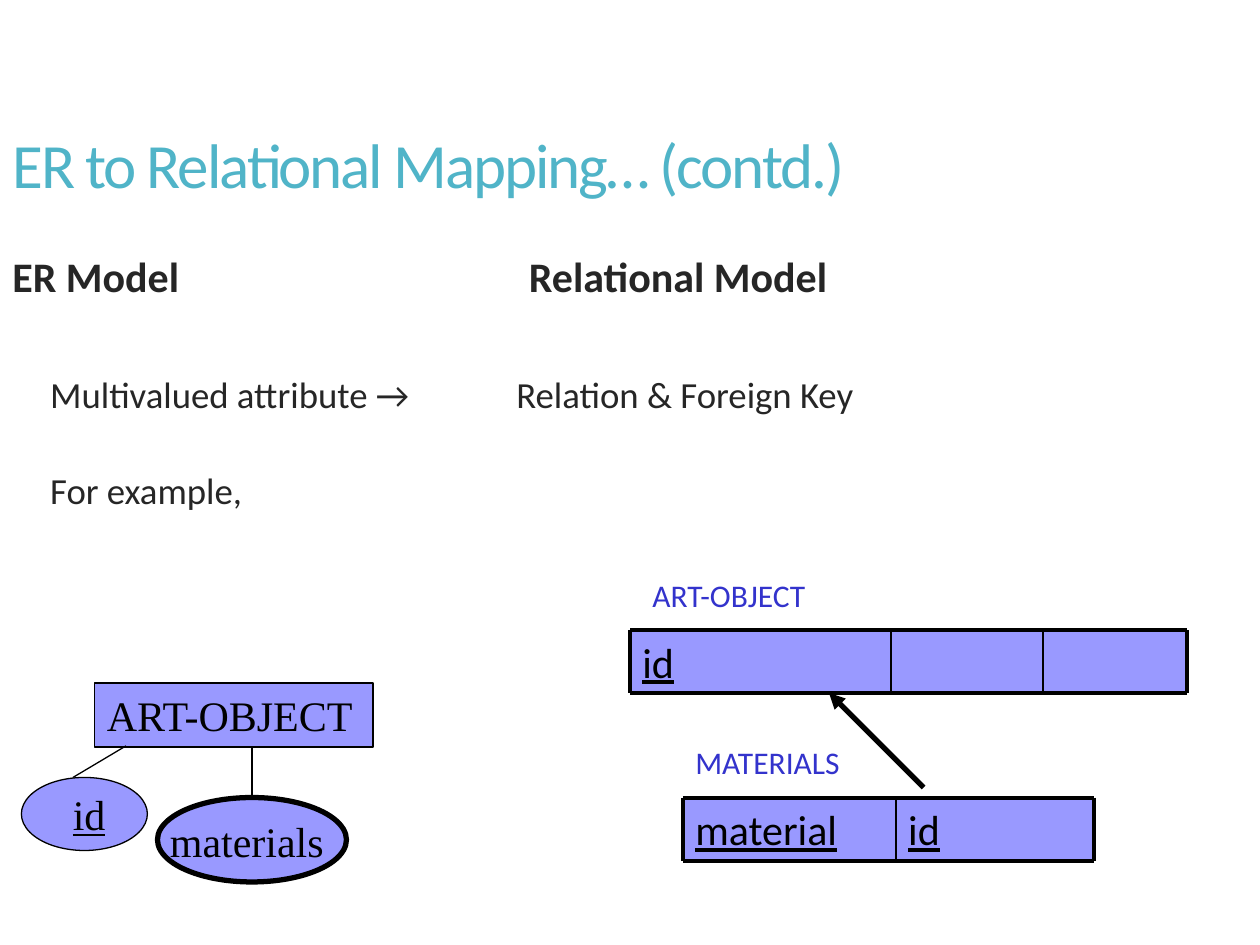
from pptx import Presentation
from pptx.dml.color import RGBColor
from pptx.enum.shapes import MSO_CONNECTOR, MSO_SHAPE
from pptx.enum.text import MSO_ANCHOR, PP_ALIGN
from pptx.oxml.ns import qn
from pptx.util import Inches, Pt
from lxml import etree

RECTANGLE = MSO_SHAPE.RECTANGLE
OVAL = MSO_SHAPE.OVAL
STRAIGHT = MSO_CONNECTOR.STRAIGHT
MIDDLE = MSO_ANCHOR.MIDDLE
TOP = MSO_ANCHOR.TOP
LEFT = PP_ALIGN.LEFT

COLORS = {
    "title": "50B4C8",
    "body": "262626",
    "fill": "9999FF",
    "line": "000000",
    "label": "3333CC",
}
SERIF = {"name": "Times New Roman", "size": Pt(24)}
FIELD = {"name": "Calibri", "size": Pt(24), "underline": True}
LABEL = {"name": "Calibri", "size": Pt(18)}
TITLE = {"name": "Calibri", "size": Pt(36)}
HEADING = {"name": "Calibri", "size": Pt(24), "bold": True}
BODY = {"name": "Calibri", "size": Pt(21)}
ROW_HEIGHT = 0.5


def rgb(color):
    """Return the named colour."""
    return RGBColor.from_string(COLORS[color])


def write(paragraph, text, font, color):
    """Put one formatted run into a paragraph."""
    run = paragraph.add_run()
    run.text = text
    for name, value in font.items():
        setattr(run.font, name, value)
    run.font.color.rgb = rgb(color)
    paragraph.alignment = LEFT
    return run


def add_text(slide, box, text, font, color="line", anchor=TOP):
    """Add a one-line text box and return its run."""
    frame = slide.shapes.add_textbox(*map(Inches, box)).text_frame
    frame.word_wrap = True
    frame.vertical_anchor = anchor
    return write(frame.paragraphs[0], text, font, color)


def add_column(slide, box, entries):
    """Add a text column of (text, font, indent, space before) entries."""
    frame = slide.shapes.add_textbox(*map(Inches, box)).text_frame
    frame.word_wrap = True
    for index, (text, font, indent, space) in enumerate(entries):
        paragraph = frame.add_paragraph() if index else frame.paragraphs[0]
        write(paragraph, text, font, "body")
        paragraph.line_spacing = 0.85
        paragraph.space_before = Pt(space)
        paragraph._p.get_or_add_pPr().set("marL", str(Inches(indent)))


def add_box(slide, kind, box, width=0, text="", font=SERIF):
    """Add a filled shape, outlined when a line width is given."""
    shape = slide.shapes.add_shape(kind, *map(Inches, box))
    shape.shadow.inherit = False
    shape.fill.solid()
    shape.fill.fore_color.rgb = rgb("fill")
    if width:
        shape.line.color.rgb = rgb("line")
        shape.line.width = Pt(width)
    else:
        shape.line.fill.background()
    if text:
        shape.text_frame.word_wrap = False
        shape.text_frame.vertical_anchor = MIDDLE
        write(shape.text_frame.paragraphs[0], text, font, "line")


def add_line(slide, start, end, width, arrow=False):
    """Add a straight line, with an arrowhead at its end if asked."""
    line = slide.shapes.add_connector(STRAIGHT, *map(Inches, start + end))
    line.line.color.rgb = rgb("line")
    line.line.width = Pt(width)
    properties = line._element.spPr
    if arrow:
        outline = properties.find(qn("a:ln"))
        etree.SubElement(outline, qn("a:tailEnd"), type="triangle")
    etree.SubElement(properties, qn("a:effectLst"))


def add_relation(slide, name, name_left, edges, top, fields):
    """Draw a relation as a row of fields between the given edges."""
    bottom = top + ROW_HEIGHT
    first, last = edges[0], edges[-1]
    for left, right, field in zip(edges, edges[1:], fields):
        add_box(slide, RECTANGLE, (left, top, right - left, ROW_HEIGHT), text=field, font=FIELD)
    for y in (top, bottom):
        add_line(slide, (first, y), (last, y), 2.25)
    for x in edges:
        add_line(slide, (x, top), (x, bottom), 2.25 if x in (first, last) else 1)
    add_text(slide, (name_left, top - 0.48, 1.8, 0.4), name, LABEL, "label")


def add_er_diagram(slide):
    """Draw the entity with its key and its multivalued attribute."""
    add_box(slide, OVAL, (0.17, 6.17, 1, 0.58), 0.75)
    add_box(slide, OVAL, (1.25, 6.33, 1.5, 0.67), 3)
    add_box(slide, RECTANGLE, (0.75, 5.42, 2.21, 0.51), 0.75, "ART-OBJECT")
    add_text(slide, (1.25, 6.42, 1.58, 0.5), "materials", SERIF)
    add_text(slide, (0.48, 6.21, 0.6, 0.5), "id", {**SERIF, "underline": True})
    add_line(slide, (2, 6.33), (2, 5.92), 0.75)
    add_line(slide, (0.58, 6.17), (1, 5.92), 0.75)


def main():
    """Build and save the slide."""
    presentation = Presentation()
    presentation.slide_width = Inches(10)
    presentation.slide_height = Inches(7.5)
    slide = presentation.slides.add_slide(presentation.slide_layouts[6])

    title = add_text(slide, (0, 0.67, 9, 1.25), "ER to Relational Mapping… (contd.)",
                     TITLE, "title", MIDDLE)
    title._r.get_or_add_rPr().set("spc", "-120")
    add_column(slide, (0, 2, 4, 2.2), [
        ("ER Model", HEADING, 0, 0),
        ("Multivalued attribute →", BODY, 0.3, 44),
        ("For example,", BODY, 0.3, 34),
    ])
    add_column(slide, (4, 2, 4.67, 2.2), [
        ("Relational Model", HEADING, 0.1, 0),
        ("Relation & Foreign Key", BODY, 0, 44),
    ])
    add_er_diagram(slide)
    add_relation(slide, "ART-OBJECT", 5.08, (5, 7.07, 8.28, 9.42), 5, ("id", "", ""))
    add_relation(slide, "MATERIALS", 5.42, (5.42, 7.11, 8.68), 6.33, ("material", "id"))
    add_line(slide, (7.33, 6.25), (6.58, 5.5), 3, arrow=True)
    presentation.save("out.pptx")


if __name__ == "__main__":
    main()
